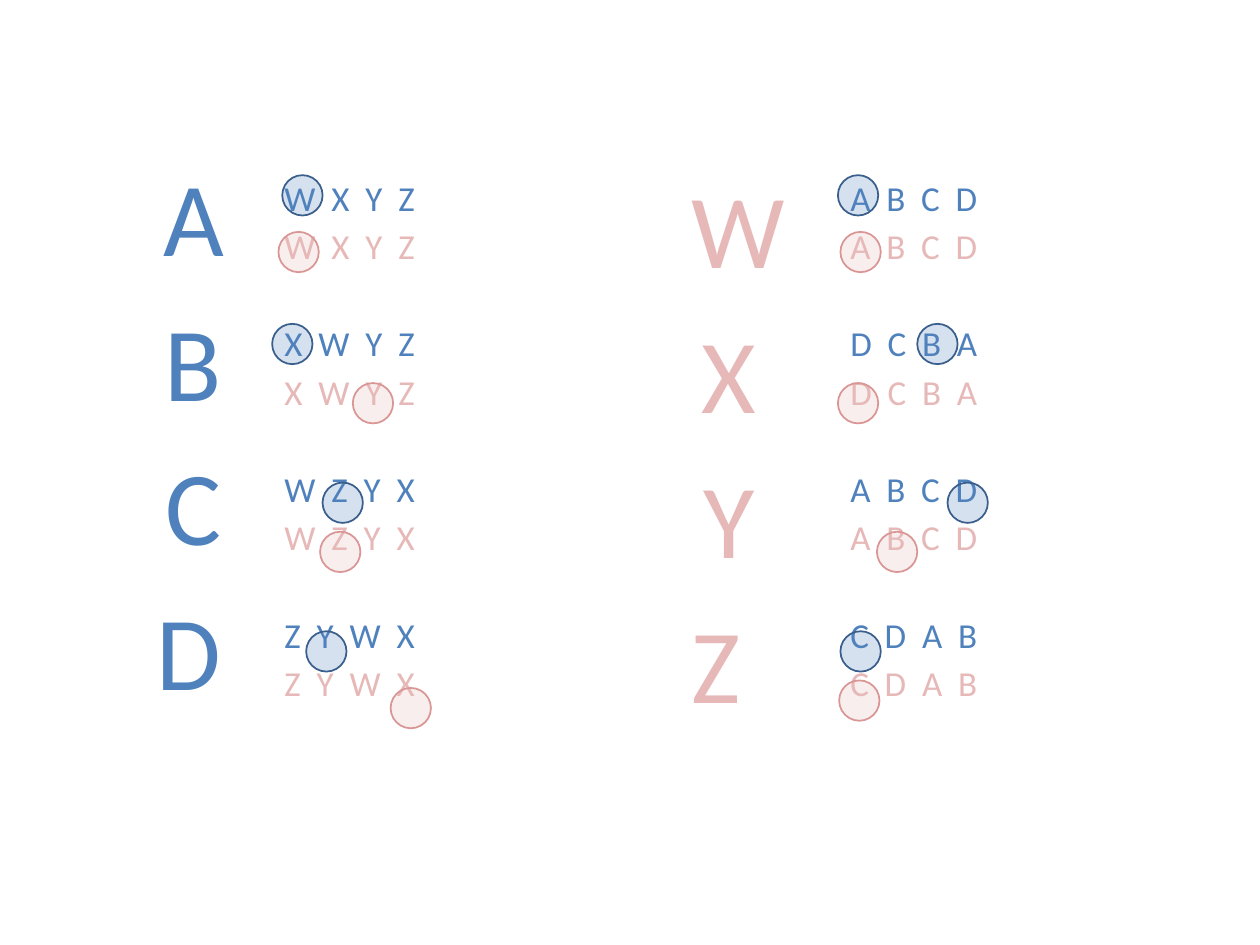
from dataclasses import dataclass

from lxml import etree
from pptx import Presentation
from pptx.dml.color import RGBColor
from pptx.enum import shapes, text
from pptx.oxml.ns import qn
from pptx.util import Inches, Pt

BLUE = RGBColor(0x4F, 0x81, 0xBD)
DARK_BLUE = RGBColor(0x3A, 0x5F, 0x8C)
PINK = RGBColor(0xE6, 0xB9, 0xB8)
DARK_PINK = RGBColor(0xD9, 0x96, 0x94)

FONT = "Calibri"
LIST_SIZE, LETTER_SIZE = 20, 60
LIST_GAP, GROUP_GAP, LETTER_GAP = 3.6, 31.6, 10.8
MARK_SIZE = 0.32
MARK_OPACITY = 23


@dataclass
class Side:
    """One side of the matching: its letters and their ranked choices."""
    letters: str
    color: RGBColor
    letter_left: float
    letter_top: float
    list_left: float
    rankings: list[str]


@dataclass
class MarkSet:
    """Circles of one colour, each given by its left and top."""
    fill: RGBColor
    line: RGBColor
    positions: list[tuple[float, float]]


SIDES = [
    Side("ABCD", BLUE, 1.14, 1.15, 2.16, ["WXYZ", "XWYZ", "WZYX", "ZYWX"]),
    Side("WXYZ", PINK, 5.39, 1.25, 6.65, ["ABCD", "DCBA", "ABCD", "CDAB"]),
]
MARK_SETS = [
    MarkSet(BLUE, DARK_BLUE, [
        (2.24, 1.39), (2.16, 2.57), (2.56, 3.83), (2.43, 5.01),
        (6.65, 1.39), (7.28, 2.57), (7.52, 3.83), (6.67, 5.01)]),
    MarkSet(PINK, DARK_PINK, [
        (2.21, 1.84), (2.8, 3.04), (2.54, 4.22), (3.1, 5.46),
        (6.67, 1.84), (6.65, 3.04), (6.96, 4.22), (6.66, 5.4)]),
]


def add_text_frame(slide, left: float, top: float, width: float, height: float):
    box = slide.shapes.add_textbox(Inches(left), Inches(top), Inches(width), Inches(height))
    box.text_frame.word_wrap = True
    return box.text_frame


def add_line(frame, index: int, words: str, size: float, color: RGBColor, gap: float):
    paragraph = frame.add_paragraph() if index else frame.paragraphs[0]
    paragraph.text = words
    paragraph.space_before = Pt(gap)
    font = paragraph.runs[0].font
    font.name, font.size, font.color.rgb = FONT, Pt(size), color
    return paragraph


def draw_rankings(slide, side: Side) -> None:
    """Each ranking shows twice, blue above pink."""
    frame = add_text_frame(slide, side.list_left, 1.35, 1.26, 4.49)
    for row, ranking in enumerate(side.rankings):
        words = "  ".join(ranking)
        add_line(frame, 2 * row, words, LIST_SIZE, BLUE, GROUP_GAP if row else 1)
        add_line(frame, 2 * row + 1, words, LIST_SIZE, PINK, LIST_GAP)


def draw_letters(slide, side: Side) -> None:
    """Large letters are centred, except the last, which starts at the left."""
    frame = add_text_frame(slide, side.letter_left, side.letter_top, 0.79, 4.68)
    for row, letter in enumerate(side.letters):
        paragraph = add_line(frame, row, letter, LETTER_SIZE, side.color,
                             LETTER_GAP if row else 3)
        is_last = row == len(side.letters) - 1
        paragraph.alignment = text.PP_ALIGN.LEFT if is_last else text.PP_ALIGN.CENTER


def draw_mark(slide, marks: MarkSet, left: float, top: float) -> None:
    circle = slide.shapes.add_shape(
        shapes.MSO_SHAPE.OVAL, Inches(left), Inches(top), Inches(MARK_SIZE), Inches(MARK_SIZE))
    circle.shadow.inherit = False
    circle.fill.solid()
    circle.fill.fore_color.rgb = marks.fill
    circle.line.color.rgb = marks.line
    circle.line.width = Pt(1)
    # Transparency of the fill
    fill_color = circle.fill._xPr.find(qn("a:solidFill"))[0]
    etree.SubElement(fill_color, qn("a:alpha")).set("val", str(MARK_OPACITY * 1000))


def main() -> None:
    presentation = Presentation()
    presentation.slide_width, presentation.slide_height = Inches(10), Inches(7.5)
    slide = presentation.slides.add_slide(presentation.slide_layouts[6])

    # Letters and their rankings
    for side in SIDES:
        draw_rankings(slide, side)
        draw_letters(slide, side)

    # Circles around the chosen letters
    for marks in MARK_SETS:
        for left, top in marks.positions:
            draw_mark(slide, marks, left, top)

    presentation.save("out.pptx")


if __name__ == "__main__":
    main()
